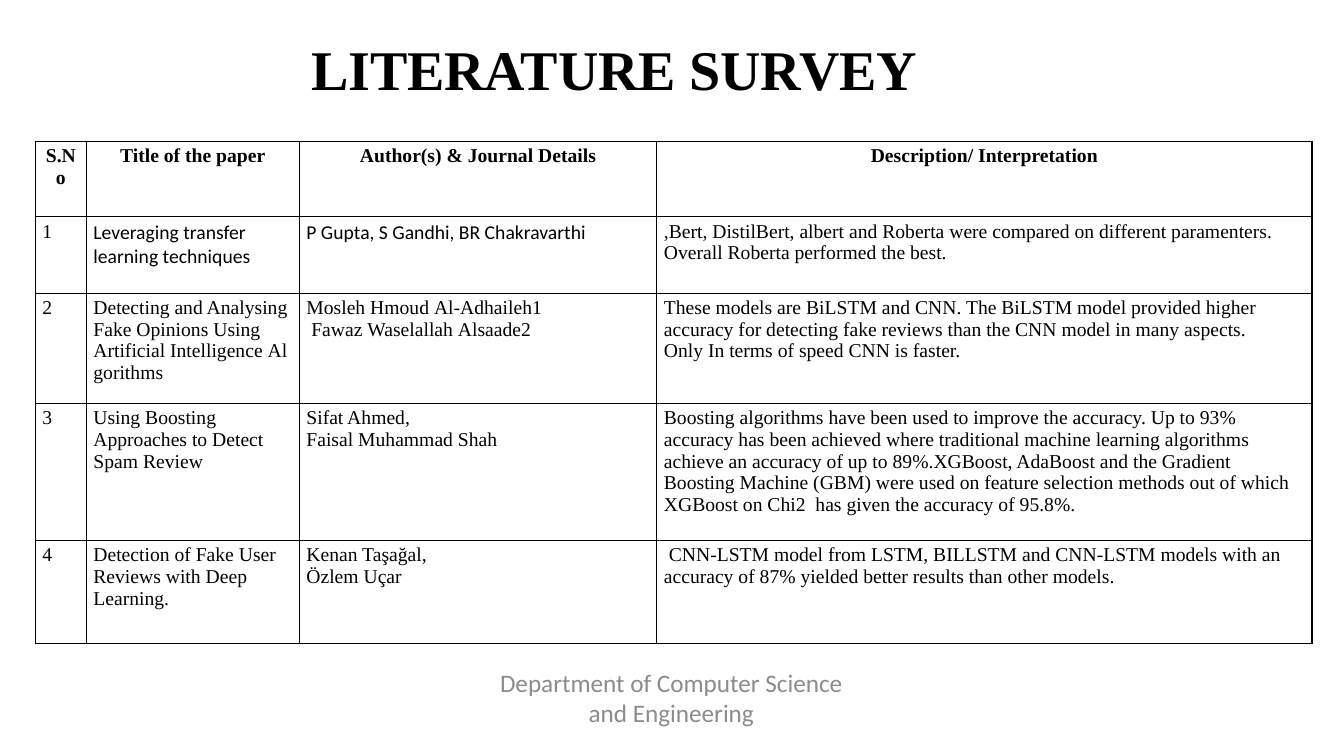
import pptx
import pptx.dml.color
import pptx.enum.text
import pptx.oxml
import pptx.oxml.ns
import pptx.util

COLORS = {"ink": "000000", "muted": "8C8C8C", "paper": "FFFFFF"}
SERIF, SANS = "Times New Roman", "Calibri"
ALIGN = pptx.enum.text.PP_ALIGN


class Deck:
    """Holds the style and current slide; lengths are percents of the slide."""

    def __init__(self, width, height):
        self.prs = pptx.Presentation()
        self.prs.slide_width = pptx.util.Inches(width)
        self.prs.slide_height = pptx.util.Inches(height)
        self.s = self.prs.slides.add_slide(self.prs.slide_layouts[6])

    def x(self, share):
        return round(self.prs.slide_width * share / 100)

    def y(self, share):
        return round(self.prs.slide_height * share / 100)

    def rgb(self, name):
        return pptx.dml.color.RGBColor.from_string(COLORS[name])

    def fill_text(self, tf, text, align=ALIGN.LEFT, color="ink", spacing=0, **font):
        tf.word_wrap = True
        for i, line in enumerate(text.split("\n")):
            p = tf.paragraphs[0] if i == 0 else tf.add_paragraph()
            p.alignment = align
            r = p.add_run()
            r.text = line
            r.font.color.rgb = self.rgb(color)
            for name, value in font.items():
                setattr(r.font, name, value)
            if spacing:
                r._r.get_or_add_rPr().set("spc", str(spacing))

    def text(self, left, top, width, height, text, **style):
        box = (self.x(left), self.y(top), self.x(width), self.y(height))
        tf = self.s.shapes.add_textbox(*box).text_frame
        for side in ("left", "top", "right", "bottom"):
            setattr(tf, "margin_" + side, 0)
        self.fill_text(tf, text, **style)

    def border(self, cell):
        tc_pr = cell._tc.get_or_add_tcPr()
        for i, side in enumerate(("lnL", "lnR", "lnT", "lnB")):
            tc_pr.insert(i, pptx.oxml.parse_xml(
                f'<a:{side} {pptx.oxml.ns.nsdecls("a")} w="12700"><a:solidFill>'
                f'<a:srgbClr val="{COLORS["ink"]}"/></a:solidFill></a:{side}>'))

    def table(self, left, top, cols, rows, data, sans_cells):
        frame = self.s.shapes.add_table(len(rows), len(cols), self.x(left), self.y(top),
                                        self.x(sum(cols)), self.y(sum(rows)))
        table = frame.table
        table.first_row = table.horz_banding = False
        for col, share in zip(table.columns, cols):
            col.width = self.x(share)
        for row, share in zip(table.rows, rows):
            row.height = self.y(share)
        margins = {"margin_left": 0.07, "margin_right": 0.07,
                   "margin_top": 0.04, "margin_bottom": 0.04}
        for i, values in enumerate(data):
            for j, value in enumerate(values):
                cell = table.cell(i, j)
                for name, inches in margins.items():
                    setattr(cell, name, pptx.util.Inches(inches))
                cell.fill.solid()
                cell.fill.fore_color.rgb = self.rgb("paper")
                self.border(cell)
                self.fill_text(cell.text_frame, value,
                               align=ALIGN.CENTER if i == 0 else ALIGN.LEFT,
                               name=SANS if (i, j) in sans_cells else SERIF,
                               size=pptx.util.Pt(14), bold=i == 0)


deck = Deck(13.33, 7.5)

# Title
deck.text(23.18, 4.5, 46.4, 9, "LITERATURE SURVEY", name=SERIF,
          size=pptx.util.Pt(40), bold=True, spacing=-10)

# Footer
deck.text(37.05, 88.27, 25.8, 3.7, "Department of Computer Science and Engineering",
          align=ALIGN.CENTER, color="muted", name=SANS, size=pptx.util.Pt(18))

# Survey table
HEADER = ("S.No", "Title of the paper", "Author(s) & Journal Details",
          "Description/ Interpretation")
PAPERS = [
    ("Leveraging transfer learning techniques",
     "P Gupta, S Gandhi,\u00a0BR Chakravarthi",
     ",Bert, DistilBert, albert and Roberta were compared on different paramenters.\n"
     "Overall Roberta performed the best."),
    ("Detecting and Analysing Fake\u00a0Opinions Using "
     "Artificial\u00a0Intelligence\u00a0Algorithms",
     "Mosleh\u00a0Hmoud\u00a0Al-Adhaileh1\n\u00a0Fawaz\u00a0Waselallah\u00a0Alsaade2",
     "These models are BiLSTM and CNN. The\u00a0BiLSTM\u00a0model provided higher accuracy "
     "for detecting\u00a0fake\u00a0reviews than the CNN model in many aspects.\n"
     "Only In terms of speed CNN is faster."),
    ("Using Boosting Approaches to Detect Spam Review",
     "Sifat Ahmed,\nFaisal Muhammad Shah",
     "Boosting algorithms have been used to improve the accuracy. Up to 93% accuracy has "
     "been achieved where traditional machine learning algorithms achieve an accuracy of "
     "up to 89%.XGBoost, AdaBoost and the Gradient Boosting Machine (GBM) were used on "
     "feature selection methods out of which XGBoost on Chi2\u00a0 has given the accuracy "
     "of 95.8%."),
    ("Detection of Fake User Reviews with Deep Learning.",
     "Kenan Taşağal,\nÖzlem Uçar",
     "\u00a0CNN-LSTM model from LSTM, BILLSTM and CNN-LSTM models with an accuracy of 87% "
     "yielded better results than other models."),
]
numbered = [(str(n), *paper) for n, paper in enumerate(PAPERS, 1)]
deck.table(2.63, 18.67, cols=(3.8, 15.85, 26.6, 48.75), rows=(10, 10.1, 14.6, 18.1, 13.6),
           data=[HEADER, *numbered], sans_cells={(1, 1), (1, 2)})

deck.prs.save("out.pptx")
